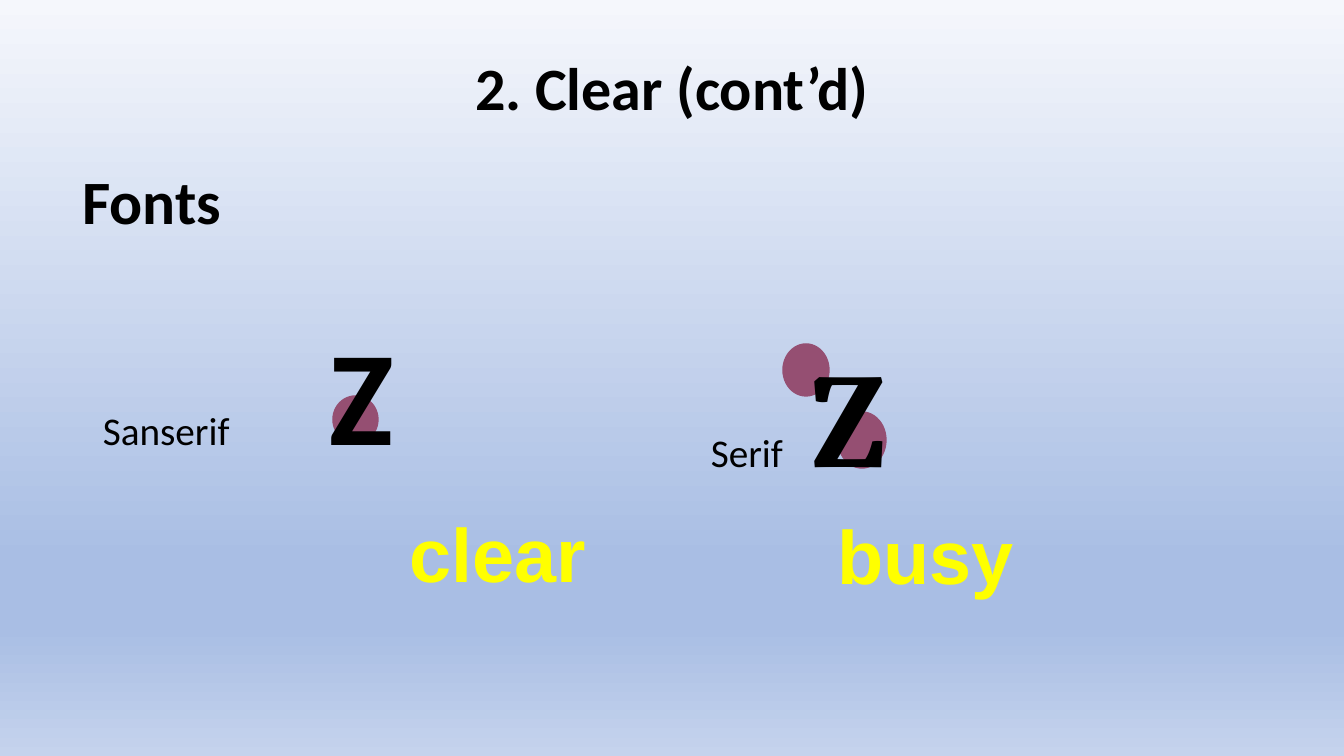
from dataclasses import dataclass

from lxml import etree
from pptx import Presentation
from pptx.dml.color import RGBColor
from pptx.enum.shapes import MSO_SHAPE
from pptx.enum.text import MSO_ANCHOR, MSO_AUTO_SIZE, PP_ALIGN
from pptx.oxml.ns import qn
from pptx.util import Emu, Pt

OVAL = MSO_SHAPE.OVAL
TOP, MIDDLE = MSO_ANCHOR.TOP, MSO_ANCHOR.MIDDLE
NO_FIT = MSO_AUTO_SIZE.NONE
LEFT, CENTER = PP_ALIGN.LEFT, PP_ALIGN.CENTER

WIDE, HIGH = 1344, 756
SCALE = 12192000 / WIDE
BLACK, YELLOW, PLUM = "000000", "FFFF00", "954F72"
STOPS = [(0, "F5F7FC"), (74, "A9BEE4"), (83, "A9BEE4"), (100, "C5D3ED")]


@dataclass
class Box:
    left: int
    top: int
    width: int
    height: int


@dataclass
class Sample:
    """A font class name, with a large letter set in that font at a tab stop."""
    box: Box
    name: str
    font: str
    tab: int


@dataclass
class Word:
    box: Box
    text: str


DOTS = [Box(838, 412, 48, 56), Box(783, 344, 46, 52), Box(333, 396, 45, 47)]
SAMPLES = [
    Sample(Box(93, 306, 571, 180), "Sanserif", "Calibri", 227),
    Sample(Box(701, 328, 395, 180), "Serif", "Cambria", 101),
]
WORDS = [
    Word(Box(713, 504, 425, 101), "busy"),
    Word(Box(391, 502, 214, 101), "clear"),
]


def px(n: int) -> Emu:
    return Emu(round(n * SCALE))


def rgb(code: str) -> RGBColor:
    return RGBColor.from_string(code)


def area(box: Box) -> tuple:
    return px(box.left), px(box.top), px(box.width), px(box.height)


def style(run, size: float, font: str, color: str, bold: bool) -> None:
    run.font.size = Pt(size)
    run.font.name = font
    run.font.color.rgb = rgb(color)
    run.font.bold = bold


def write(shape, text: str, size: float, font: str, color: str,
          align=CENTER, anchor=MIDDLE, space: float = 1.0) -> None:
    """Fill a shape with one bold line."""
    frame = shape.text_frame
    frame.text = text
    frame.word_wrap = True
    frame.auto_size = NO_FIT
    frame.vertical_anchor = anchor
    para = frame.paragraphs[0]
    para.alignment = align
    para.line_spacing = space
    style(para.runs[0], size, font, color, True)


def paint(slide) -> None:
    """Give the slide its vertical gradient."""
    fill = slide.background.fill
    fill.gradient()
    fill.gradient_angle = 270
    stops = slide.element.find(".//" + qn("a:gsLst"))
    for old in list(stops):
        stops.remove(old)
    for place, code in STOPS:
        stop = etree.SubElement(stops, qn("a:gs"), pos=str(place * 1000))
        etree.SubElement(stop, qn("a:srgbClr"), val=code)


def add_dot(slide, box: Box) -> None:
    dot = slide.shapes.add_shape(OVAL, *area(box))
    dot.shadow.inherit = False
    dot.fill.solid()
    dot.fill.fore_color.rgb = rgb(PLUM)
    dot.line.color.rgb = rgb(PLUM)
    dot.line.width = Pt(1)


def add_sample(slide, item: Sample) -> None:
    frame = slide.shapes.add_textbox(*area(item.box)).text_frame
    frame.word_wrap = True
    para = frame.paragraphs[0]
    tabs = etree.SubElement(para._p.get_or_add_pPr(), qn("a:tabLst"))
    etree.SubElement(tabs, qn("a:tab"), pos=str(px(item.tab)), algn="l")
    label, letter = para.add_run(), para.add_run()
    label.text = item.name + "\t"
    letter.text = "Z"
    style(label, 28, "Calibri", BLACK, False)
    style(letter, 96, item.font, BLACK, True)


def main() -> None:
    deck = Presentation()
    deck.slide_width, deck.slide_height = px(WIDE), px(HIGH)
    slide = deck.slides.add_slide(deck.slide_layouts[5])
    paint(slide)

    for dot in DOTS:
        add_dot(slide, dot)
    for item in SAMPLES:
        add_sample(slide, item)

    title = slide.shapes.title
    title.left, title.top, title.width, title.height = area(Box(72, 132, 1159, 146))
    write(title, "Fonts", 44, "Calibri", BLACK, align=LEFT, space=0.9)

    for word in WORDS:
        box = slide.shapes.add_textbox(*area(word.box))
        write(box, word.text, 54, "Arial", YELLOW, anchor=TOP)

    head = slide.shapes.add_textbox(*area(Box(168, 29, 1008, 123)))
    write(head, "2. Clear (cont’d)", 42.9, "Calibri", BLACK, space=0.9)

    deck.save("out.pptx")


if __name__ == "__main__":
    main()
